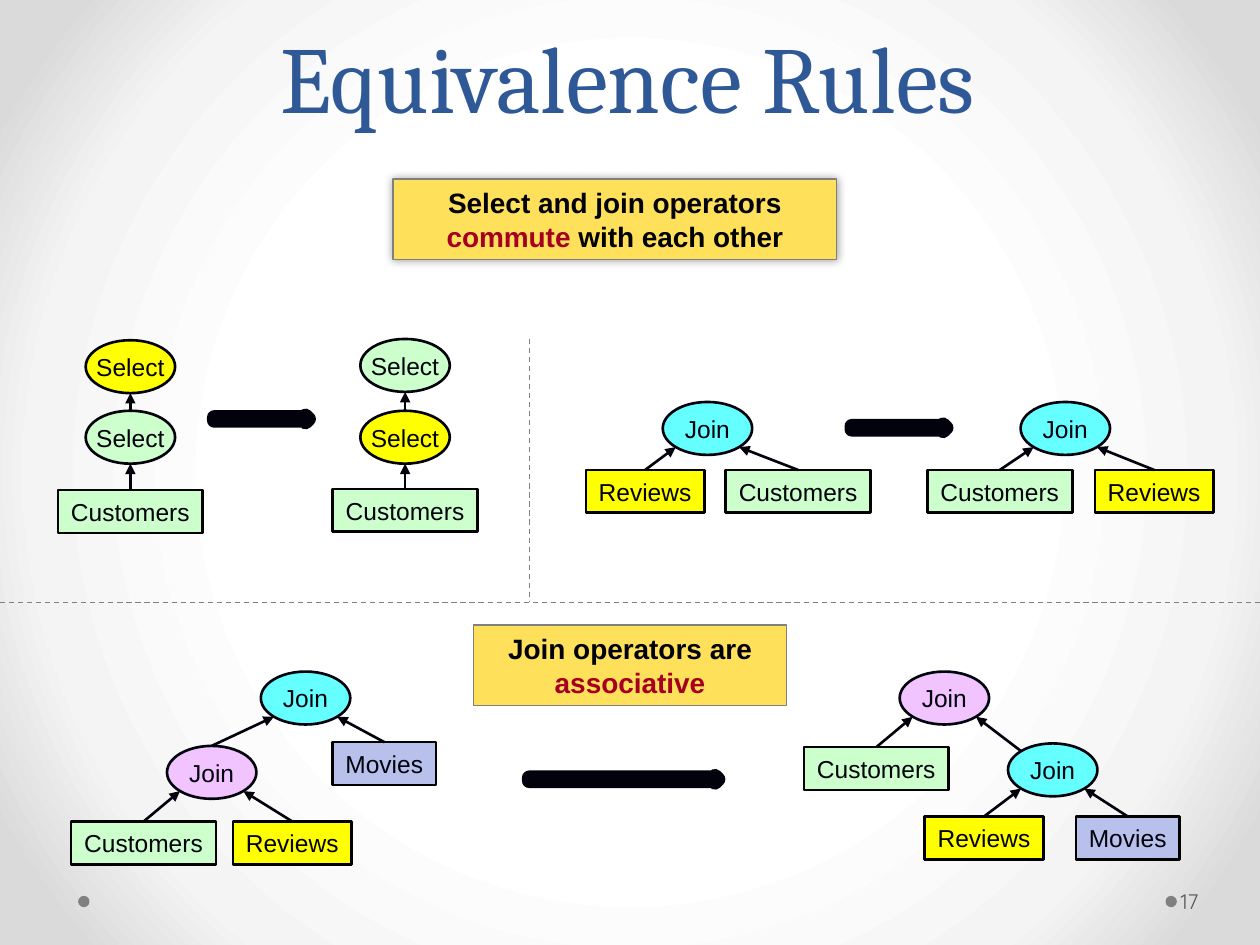
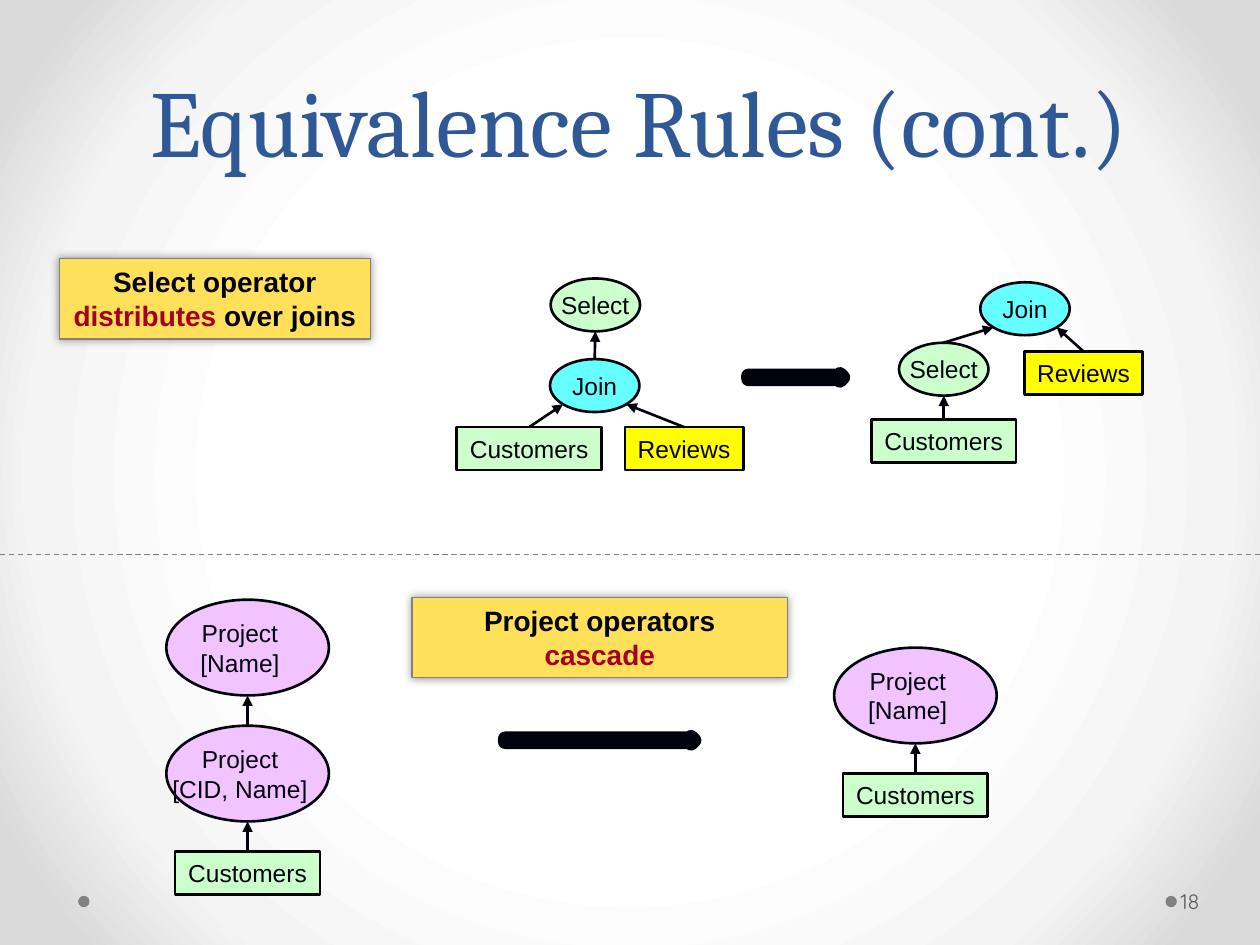
from lxml import etree
from pptx import Presentation
from pptx.dml.color import RGBColor
from pptx.enum.dml import MSO_LINE
from pptx.enum.shapes import MSO_CONNECTOR, MSO_SHAPE
from pptx.enum.text import MSO_ANCHOR, MSO_AUTO_SIZE, PP_ALIGN
from pptx.oxml import parse_xml
from pptx.oxml.ns import nsdecls, qn
from pptx.util import Inches, Pt

RECTANGLE, OVAL, ARROW = MSO_SHAPE.RECTANGLE, MSO_SHAPE.OVAL, MSO_SHAPE.RIGHT_ARROW
STRAIGHT, DASH = MSO_CONNECTOR.STRAIGHT, MSO_LINE.DASH
CENTER, MIDDLE, BOTTOM = PP_ALIGN.CENTER, MSO_ANCHOR.MIDDLE, MSO_ANCHOR.BOTTOM

INK, BLACK, GRAY, RED = "01020B", "000000", "808080", "A50021"
GREEN, YELLOW, CYAN, VIOLET = "CCFFCC", "FFFF00", "66FFFF", "F1C4FF"
LAVENDER, GOLD, BLUE = "B8C1EC", "FFE05B", "6076B4"

# The slide is a grid of 100 columns by 75 rows of square cells
presentation = Presentation()
presentation.slide_width, presentation.slide_height = Inches(10), Inches(7.5)
CELL = presentation.slide_width / 100


def color(hex_string):
    return RGBColor.from_string(hex_string)


def add_box(shapes, kind, frame, fill, line, weight, lines=(), size=14, bold=False):
    """Add a shape; each of its lines is a list of (text, colour) runs."""
    shape = shapes.add_shape(kind, *[round(value * CELL) for value in frame])
    shape.shadow.inherit = False
    shape.fill.solid()
    shape.fill.fore_color.rgb = color(fill)
    if weight:
        shape.line.color.rgb = color(line)
        shape.line.width = Pt(weight)
    else:
        shape.line.fill.background()
    text_frame = shape.text_frame
    text_frame.vertical_anchor = MIDDLE
    for index, runs in enumerate(lines):
        paragraph = text_frame.add_paragraph() if index else text_frame.paragraphs[0]
        paragraph.alignment = CENTER
        for text, run_color in runs:
            run = paragraph.add_run()
            run.text = text
            run.font.name, run.font.size, run.font.bold = "Arial", Pt(size), bold
            run.font.color.rgb = color(run_color)
    return shape


# Operators and tables: shape, width, height, fill, lines of text
NODES = {
    "customers": (RECTANGLE, 11.5, 3.4, GREEN, ["Customers"]),
    "reviews": (RECTANGLE, 9.4, 3.4, YELLOW, ["Reviews"]),
    "movies": (RECTANGLE, 8.2, 3.4, LAVENDER, ["Movies"]),
    "green select": (OVAL, 7.1, 4.2, GREEN, ["Select"]),
    "yellow select": (OVAL, 7.1, 4.2, YELLOW, ["Select"]),
    "cyan join": (OVAL, 7.1, 4.2, CYAN, ["Join"]),
    "violet join": (OVAL, 7.1, 4.2, VIOLET, ["Join"]),
    "project name": (OVAL, 12.9, 7.6, VIOLET, ["Project", "[Name]"]),
    "project both": (OVAL, 12.9, 7.6, VIOLET, ["Project", "[CID, Name]"]),
}

# Trees: nodes (name, centre, top), then links (child, parent, side of the parent)
LEFT, BELOW, RIGHT = -1, 0, 1
CHAIN = [(2, 1, BELOW), (1, 0, BELOW)]
PAIR = [(1, 0, LEFT), (2, 0, RIGHT)]
SLIDES = [
    {
        "title": "Equivalence Rules",
        "title frame": (7.3, 3.6, 85, 7.4),
        "number": "17",
        "trees": [
            ([("yellow select", 10.35, 27), ("green select", 10.35, 32.6),
              ("customers", 10.35, 38.9)], CHAIN),
            ([("green select", 32.15, 26.9), ("yellow select", 32.15, 32.6),
              ("customers", 32.15, 38.8)], CHAIN),
            ([("cyan join", 84.55, 31.9), ("customers", 79.35, 37.3),
              ("reviews", 91.6, 37.3)], PAIR),
            ([("cyan join", 56.15, 31.9), ("reviews", 51.2, 37.3),
              ("customers", 63.35, 37.3)], PAIR),
            ([("cyan join", 24.25, 53.3), ("violet join", 16.8, 59.2),
              ("movies", 30.5, 58.9), ("customers", 11.4, 65.2),
              ("reviews", 23.2, 65.2)], PAIR + [(3, 1, LEFT), (4, 1, RIGHT)]),
            ([("violet join", 74.95, 53.3), ("customers", 69.55, 59.3),
              ("cyan join", 83.55, 59), ("reviews", 78.1, 64.8),
              ("movies", 89.5, 64.8)], PAIR + [(3, 2, LEFT), (4, 2, RIGHT)]),
        ],
        "arrows": [(17, 33, 7.5, BLUE), (67.6, 33.7, 7.5, BLUE), (42, 61.6, 15, GOLD)],
        "callouts": [
            ((31.2, 14.2, 35.2, 6.4), True,
             [[("Select and join operators ", INK), ("commute ", RED),
               ("with each other", BLACK)]]),
            ((37.6, 49.6, 24.8, 6.4), False,
             [[("Join operators ", INK), ("are ", BLACK), ("associative", RED)]]),
        ],
        "dividers": [(0, 47.8, 100, 47.8), (42, 26.9, 42, 47.8)],
    },
    {
        "title": "Equivalence Rules (cont.)",
        "title frame": (5.7, 4.5, 90, 10),
        "number": "18",
        "trees": [
            ([("project name", 19.65, 47.6), ("project both", 19.65, 57.6),
              ("customers", 19.65, 67.6)], CHAIN),
            ([("project name", 72.65, 51.4), ("customers", 72.65, 61.4)],
             [(1, 0, BELOW)]),
            ([("cyan join", 81.35, 22.4), ("green select", 74.9, 27.2),
              ("reviews", 86, 27.9), ("customers", 74.9, 33.3)],
             PAIR + [(3, 1, BELOW)]),
            ([("cyan join", 47.2, 28.5), ("customers", 42, 33.9),
              ("reviews", 54.3, 33.9), ("green select", 47.25, 22.1)],
             PAIR + [(0, 3, BELOW)]),
        ],
        "arrows": [(40.1, 58.5, 15, BLUE), (59.4, 29.7, 7.5, BLUE)],
        "callouts": [
            ((32.7, 47.4, 29.8, 6.4), True,
             [[("Project operators", INK)], [("cascade", RED)]]),
            ((4.7, 20.5, 24.7, 6.4), True,
             [[("Select operator ", INK), ("distributes ", RED),
               ("over joins", INK)]]),
        ],
        "dividers": [(0, 44, 100, 44)],
    },
]

# Shared background: a circular gradient on the master
master = presentation.slide_master
master.background.fill.solid()
background = master.element.xpath("p:cSld/p:bg/p:bgPr")[0]
stops = "".join(
    f'<a:gs pos="{share}000"><a:srgbClr val="{shade}"/></a:gs>'
    for share, shade in [(50, "FFFFFF"), (76, "F4F4F4"), (92, "DADADA")])
background.replace(background[0], parse_xml(
    f'<a:gradFill {nsdecls("a")} rotWithShape="1"><a:gsLst>{stops}</a:gsLst>'
    '<a:path path="circle"><a:fillToRect l="50000" t="50000" r="50000" b="50000"/>'
    '</a:path></a:gradFill>'))

for content in SLIDES:
    slide = presentation.slides.add_slide(presentation.slide_layouts[5])
    shapes = slide.shapes

    # Title
    title = shapes.title
    title.left, title.top, title.width, title.height = [
        round(value * CELL) for value in content["title frame"]]
    title.text_frame.auto_size = MSO_AUTO_SIZE.NONE
    title.text_frame.vertical_anchor = BOTTOM
    paragraph = title.text_frame.paragraphs[0]
    paragraph.alignment, paragraph.line_spacing = CENTER, Pt(58)
    run = paragraph.add_run()
    run.text = content["title"]
    run.font.name, run.font.size = "Cambria", Pt(54)
    run.font.color.rgb = color("2F5897")

    # Footer dots and slide number
    for left in (6.2, 92.5):
        add_box(shapes, OVAL, (left, 71.1, 0.9, 0.9), GRAY, GRAY, 0)
    number = shapes.add_textbox(*[round(value * CELL) for value in (93.4, 69.5, 6.1, 4)])
    number.text_frame.word_wrap = True
    number.text_frame.vertical_anchor = MIDDLE
    number.text_frame.margin_left = Inches(0.03)
    number.text_frame.margin_right = Inches(0.05)
    run = number.text_frame.paragraphs[0].add_run()
    run.text = content["number"]
    run.font.name, run.font.size = "Quicksand", Pt(12)
    run.font.color.rgb = color("595959")

    # Operator trees, one group each; every link runs from child to parent
    connectors = []
    for nodes, links in content["trees"]:
        group = shapes.add_group_shape()
        boxes = []
        for name, center, top in nodes:
            kind, width, height, fill, labels = NODES[name]
            box = add_box(group.shapes, kind, (center - width / 2, top, width, height),
                          fill, INK if kind == OVAL else BLACK, 1.5,
                          [[(label, INK)] for label in labels])
            box.text_frame.word_wrap = False
            if len(labels) > 1:
                properties = box.text_frame.paragraphs[0]._p.get_or_add_pPr()
                properties.set("marR", str(Inches(0.12)))
            boxes.append(box)
        for child_index, parent_index, side in links:
            child, parent = boxes[child_index], boxes[parent_index]
            reach = 0.354 if side else 0.5  # 45 degrees or straight down
            end_x = parent.left + parent.width * (0.5 + side * 0.354)
            end_y = parent.top + parent.height * (0.5 + reach)
            start_x, start_y = child.left + child.width / 2, child.top
            from_corner = side == RIGHT and child.auto_shape_type == OVAL
            if from_corner:
                start_x -= child.width * 0.354
                start_y += child.height * 0.146
            link = group.shapes.add_connector(
                STRAIGHT, *[round(value) for value in (start_x, start_y, end_x, end_y)])
            if not from_corner:
                link.begin_connect(child, 0)
            link.line.color.rgb = color(INK)
            link.line.width = Pt(1.5)
            etree.SubElement(link.line._get_or_add_ln(), qn("a:tailEnd"), type="triangle")
            connectors.append(link)

    # Equivalence arrows
    for left, top, width, fill in content["arrows"]:
        add_box(shapes, ARROW, (left, top, width, 0.5), fill, INK, 8.25)

    # Rule callouts
    for frame, has_shadow, lines in content["callouts"]:
        callout = add_box(shapes, RECTANGLE, frame, GOLD, GRAY, 0.75, lines, 16, True)
        callout.text_frame.word_wrap = True
        if has_shadow:
            effects = callout._element.spPr.find(qn("a:effectLst"))
            effects.append(parse_xml(
                f'<a:outerShdw {nsdecls("a")} blurRad="{Pt(5)}" dist="0" dir="0">'
                '<a:srgbClr val="000000"><a:alpha val="40000"/></a:srgbClr>'
                '</a:outerShdw>'))

    # Dashed dividers
    for ends in content["dividers"]:
        divider = shapes.add_connector(STRAIGHT, *[round(value * CELL) for value in ends])
        divider.line.color.rgb = color(GRAY)
        divider.line.width = Pt(0.75)
        divider.line.dash_style = DASH
        connectors.append(divider)

    for connector in connectors:
        etree.SubElement(connector._element.spPr, qn("a:effectLst"))

presentation.save("out.pptx")
